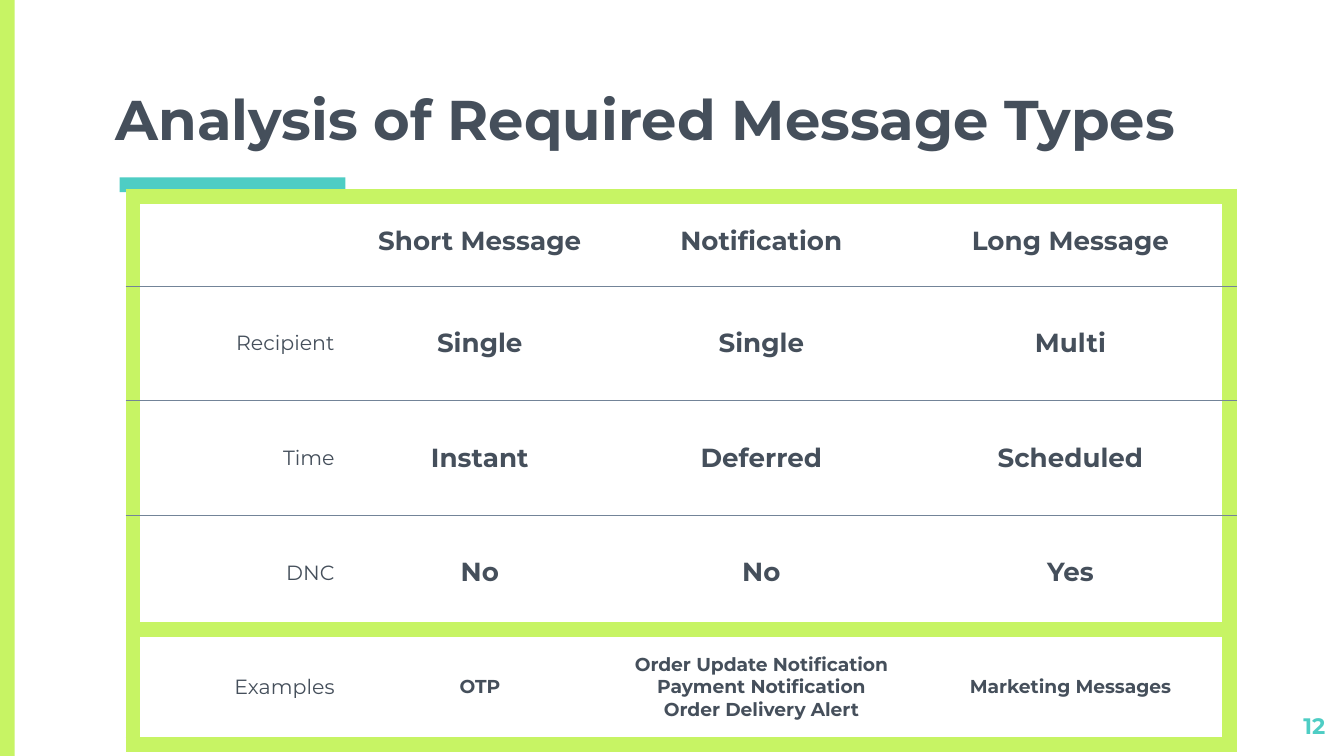
from lxml import etree
from pptx import Presentation
from pptx.dml.color import RGBColor
from pptx.enum.shapes import MSO_SHAPE as Shape
from pptx.enum.text import MSO_ANCHOR as Anchor, PP_ALIGN as Align
from pptx.oxml.ns import qn
from pptx.util import Inches, Pt

WIDE = 10
HIGH = WIDE * 9 / 16
LIME, TEAL, INK, SLATE = "C7F464", "4ECDC4", "454F5B", "738498"
FONT = "Montserrat"
THICK, THIN = (LIME, 9), (SLATE, 0.75)

COLS = [1.6, 1.96, 2.23, 2.37]
HEAD, TALL = 0.67, 4.08
ROWS = [HEAD] + [(TALL - HEAD) / 4] * 4
DATA = [
    ["", "Short Message", "Notification", "Long Message"],
    ["Recipient", "Single", "Single", "Multi"],
    ["Time", "Instant", "Deferred", "Scheduled"],
    ["DNC", "No", "No", "Yes"],
    ["Examples", "OTP",
     "Order Update Notification\nPayment Notification\nOrder Delivery Alert",
     "Marketing Messages"],
]


def paint(color):
    return RGBColor.from_string(color)


def inch(box):
    return [Inches(v) for v in box]


def write(frame, text, size=14, color=INK, bold=True, align=Align.LEFT):
    frame.text = text
    for para in frame.paragraphs:
        para.alignment = align
        for run in para.runs:
            font = run.font
            font.name, font.size, font.bold = FONT, Pt(size), bold
            font.color.rgb = paint(color)


def pad(frame, anchor):
    frame.word_wrap = True
    frame.vertical_anchor = anchor
    frame.margin_left = frame.margin_right = Inches(0.1)
    frame.margin_top = frame.margin_bottom = Inches(0.1)


def add_bar(slide, box, color):
    bar = slide.shapes.add_shape(Shape.RECTANGLE, *inch(box))
    bar.shadow.inherit = False
    bar.fill.solid()
    bar.fill.fore_color.rgb = paint(color)
    bar.line.fill.background()


def add_title(slide, box, text):
    title = slide.shapes.title
    title.left, title.top, title.width, title.height = inch(box)
    pad(title.text_frame, Anchor.BOTTOM)
    write(title.text_frame, text, size=30)


def add_number(slide, box, text):
    frame = slide.shapes.add_textbox(*inch(box)).text_frame
    pad(frame, Anchor.TOP)
    write(frame, text, size=12, color=TEAL, align=Align.RIGHT)


def edge(cell, sides):
    """Draw the cell's borders; a side set to None has no line."""
    props = cell._tc.get_or_add_tcPr()
    for i, (side, style) in enumerate(sides.items()):
        line = etree.Element(qn("a:ln" + side))
        if style:
            color, width = style
            line.set("w", str(Pt(width)))
            fill = etree.SubElement(line, qn("a:solidFill"))
            etree.SubElement(fill, qn("a:srgbClr"), val=color)
        else:
            etree.SubElement(line, qn("a:noFill"))
        props.insert(i, line)


def add_grid(slide, left, top):
    box = inch((left, top, sum(COLS), sum(ROWS)))
    grid = slide.shapes.add_table(len(ROWS), len(COLS), *box).table
    grid.first_row = grid.horz_banding = False
    for col, width in zip(grid.columns, COLS):
        col.width = Inches(width)
    for row, height in zip(grid.rows, ROWS):
        row.height = Inches(height)

    # Lime frames the table and sets the examples row apart
    last, end = len(ROWS) - 1, len(COLS) - 1
    rules = [THICK] + [THIN] * (last - 1) + [THICK] * 2
    for r, texts in enumerate(DATA):
        for c, text in enumerate(texts):
            cell = grid.cell(r, c)
            cell.fill.background()
            cell.vertical_anchor = Anchor.MIDDLE
            cell.margin_left = cell.margin_right = Inches(0.1)
            cell.margin_top = cell.margin_bottom = Inches(0.07)
            if c == 0:
                write(cell.text_frame, text, size=11, bold=False,
                      align=Align.RIGHT)
            else:
                write(cell.text_frame, text, size=10 if r == last else 14,
                      align=Align.CENTER)
            edge(cell, {"L": THICK if c == 0 else None,
                        "R": THICK if c == end else None,
                        "T": rules[r], "B": rules[r + 1]})


def main():
    deck = Presentation()
    deck.slide_width, deck.slide_height = Inches(WIDE), Inches(HIGH)
    slide = deck.slides.add_slide(deck.slide_layouts[5])

    # Side stripe and title accent
    add_bar(slide, (0, 0, 0.11, HIGH), LIME)
    add_bar(slide, (0.89, 1.32, 1.68, 0.11), TEAL)

    # Title, comparison table, page number
    add_title(slide, (0.76, 0.69, 8.49, 0.54),
              "Analysis of Required Message Types")
    add_grid(slide, 0.99, 1.46)
    add_number(slide, (9.36, 5.2, 0.6, 0.34), "12")

    deck.save("out.pptx")


if __name__ == "__main__":
    main()
